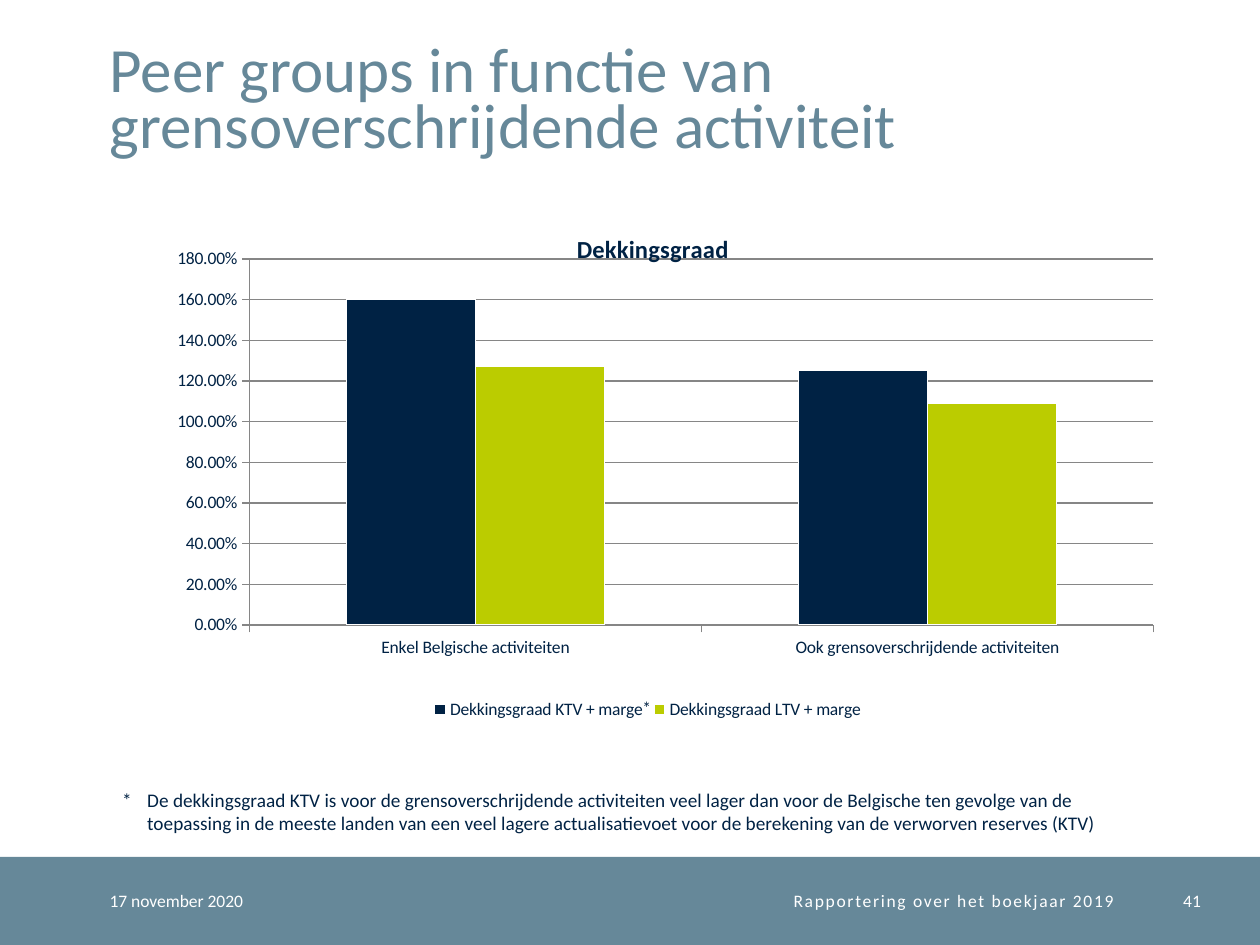
import pptx
import pptx.chart.data
import pptx.dml.color
import pptx.enum.chart
import pptx.enum.shapes
import pptx.enum.text
import pptx.oxml
import pptx.util

Inches = pptx.util.Inches
Pt = pptx.util.Pt
Align = pptx.enum.text.PP_ALIGN
Anchor = pptx.enum.text.MSO_ANCHOR
Chart = pptx.enum.chart

FONT = "Calibri"
NAVY, TEAL, LIME, GRAY, WHITE = "002244", "668899", "BBCC00", "868686", "FFFFFF"


def color(code):
    return pptx.dml.color.RGBColor.from_string(code)


def apply(target, values):
    for name, value in values.items():
        setattr(target, name, value)


def style(font, size, code):
    apply(font, {"name": FONT, "size": Pt(size)})
    font.color.rgb = color(code)


def add_text(slide, box, text, size, code, anchor=Anchor.TOP, inset=None, **format):
    """Add a one-paragraph text box; format holds paragraph values."""
    frame = slide.shapes.add_textbox(*map(Inches, box)).text_frame
    apply(frame, {"word_wrap": True, "vertical_anchor": anchor})
    if inset is not None:
        sides = ("left", "top", "right", "bottom")
        apply(frame, {f"margin_{side}": Inches(inset) for side in sides})
    para = frame.paragraphs[0]
    apply(para, format)
    run = para.add_run()
    run.text = text
    style(run.font, size, code)
    return para


def add_title(slide, box):
    add_text(slide, box, "Peer groups in functie van grensoverschrijdende activiteit",
             36, TEAL, Anchor.BOTTOM, 0, line_spacing=Pt(32))


def format_axis(axis):
    apply(axis, {"major_tick_mark": Chart.XL_TICK_MARK.OUTSIDE,
                 "minor_tick_mark": Chart.XL_TICK_MARK.NONE})
    lines = [axis.format.line]
    if axis.has_major_gridlines:
        lines.append(axis.major_gridlines.format.line)
    for line in lines:
        line.color.rgb = color(GRAY)
        line.width = Pt(0.75)


def set_layout(parent, place, **values):
    """Put a manual layout into a chart part, at the given child index."""
    old = parent.find(pptx.oxml.ns.qn("c:layout"))
    if old is not None:
        parent.remove(old)
    parts = "".join(f'<c:{key} val="{val}"/>' for key, val in values.items())
    parent.insert(place, pptx.oxml.parse_xml(
        f'<c:layout {pptx.oxml.ns.nsdecls("c")}>'
        f"<c:manualLayout>{parts}</c:manualLayout></c:layout>"))


def add_chart(slide, box):
    data = pptx.chart.data.CategoryChartData(number_format="0.00%")
    data.categories = ["Enkel Belgische activiteiten",
                       "Ook grensoverschrijdende activiteiten"]
    data.add_series("Dekkingsgraad KTV + marge", (1.6, 1.25))
    data.add_series("Dekkingsgraad LTV + marge", (1.27, 1.09))
    chart = slide.shapes.add_chart(
        Chart.XL_CHART_TYPE.COLUMN_CLUSTERED, *map(Inches, box), data).chart
    style(chart.font, 10, NAVY)

    frame = chart.chart_title.text_frame
    frame.text = "Dekkingsgraad"
    font = frame.paragraphs[0].runs[0].font
    style(font, 14, NAVY)
    font.bold = True
    set_layout(chart.chart_title._element, 1, xMode="edge", yMode="edge",
               x=0.43, y=0.05)

    chart.has_legend = True
    apply(chart.legend, {"position": Chart.XL_LEGEND_POSITION.BOTTOM,
                         "include_in_layout": False})

    values = chart.value_axis
    apply(values, {"minimum_scale": 0, "maximum_scale": 1.8, "major_unit": 0.2,
                   "has_major_gridlines": True})
    apply(values.tick_labels, {"number_format": "0.00%",
                               "number_format_is_linked": False})
    for axis in (chart.category_axis, values):
        format_axis(axis)

    plot = chart.plots[0]
    apply(plot, {"gap_width": 150, "overlap": 0, "vary_by_categories": False})
    for series, code in zip(plot.series, (NAVY, LIME)):
        series.format.fill.solid()
        series.format.fill.fore_color.rgb = color(code)
        series.format.line.color.rgb = color(WHITE)
    area = chart._chartSpace.chart.plotArea
    set_layout(area, 0, layoutTarget="inner", xMode="edge", yMode="edge",
               x=0.13, y=0.11, w=0.84, h=0.7)


def add_notes(slide, box):
    """Add the footnote and its mark beside the legend."""
    left, top, width, height = box
    add_text(slide, (left + 4.13, top - 0.73, 0.39, 0.27), "*", 10, NAVY)
    note = add_text(
        slide, box,
        "*\tDe dekkingsgraad KTV is voor de grensoverschrijdende activiteiten veel "
        "lager dan voor de Belgische ten gevolge van de toepassing in de meeste "
        "landen van een veel lagere actualisatievoet voor de berekening van de "
        "verworven reserves (KTV)", 11, NAVY)
    indent = Inches(0.2)
    for name, value in {"marL": indent, "indent": -indent}.items():
        note._p.get_or_add_pPr().set(name, str(value))


def add_footer(slide, box):
    left, top, width, height = box
    band = slide.shapes.add_shape(
        pptx.enum.shapes.MSO_SHAPE.RECTANGLE, *map(Inches, box))
    band.shadow.inherit = False
    band.fill.solid()
    band.fill.fore_color.rgb = color(TEAL)
    band.line.fill.background()
    cells = [
        (0.87, 1.77, "17 november 2020", Align.LEFT, 0),
        (2.64, 6.2, "Rapportering over het boekjaar 2019", Align.RIGHT, 1),
        (9.04, 0.49, "41", Align.RIGHT, 0),
    ]
    for start, span, text, align, gap in cells:
        para = add_text(slide, (left + start, top, span, height), text, 10, WHITE,
                        Anchor.MIDDLE, 0, alignment=align)
        if gap:
            para.runs[0]._r.get_or_add_rPr().set("spc", str(gap * 100))


def main():
    deck = pptx.Presentation()
    apply(deck, {"slide_width": Inches(10), "slide_height": Inches(7.5)})
    slide = deck.slides.add_slide(deck.slide_layouts[6])
    add_footer(slide, (0, 6.8, 10, 0.7))
    add_title(slide, (0.87, 0.2, 8.63, 1.08))
    add_chart(slide, (0.87, 1.6, 8.54, 4.15))
    add_notes(slide, (0.87, 6.21, 8.19, 0.47))
    deck.save("out.pptx")


if __name__ == "__main__":
    main()
